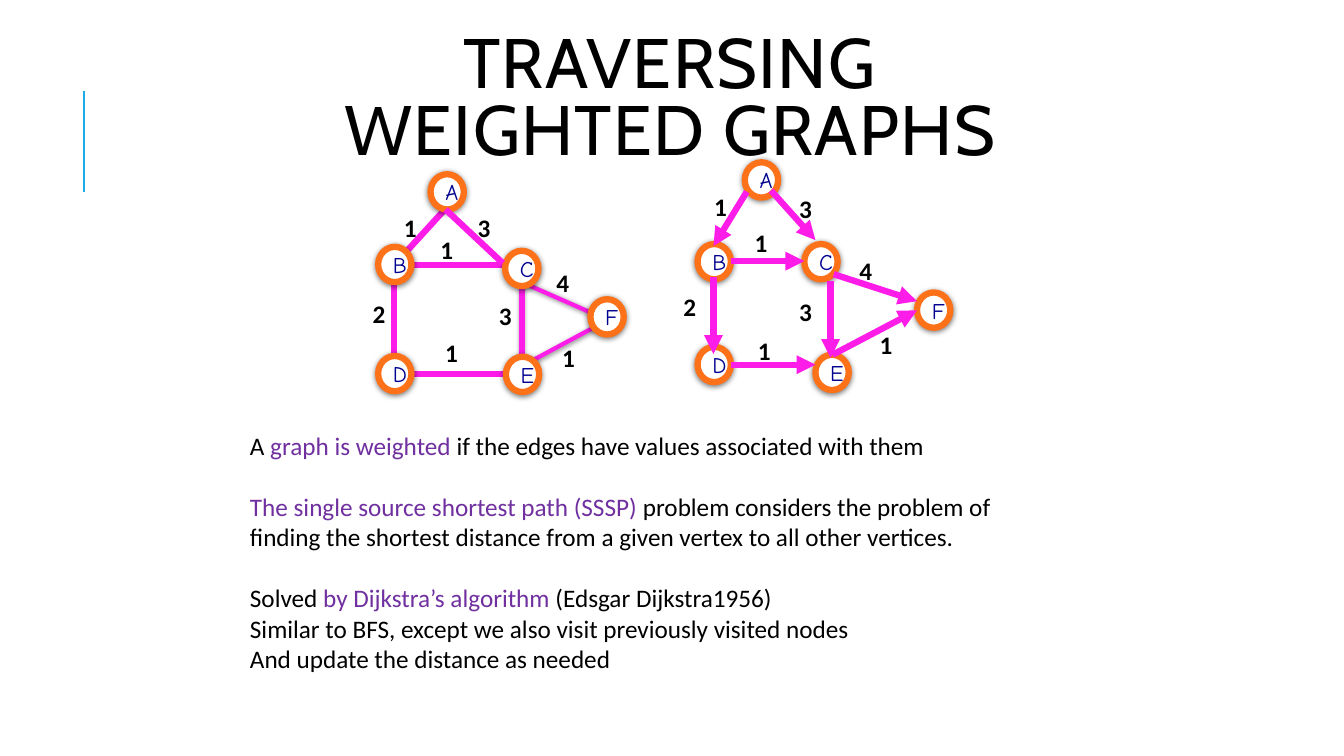
from dataclasses import dataclass

from lxml import etree
from pptx import Presentation
from pptx.dml.color import RGBColor
from pptx.enum.shapes import MSO_CONNECTOR, MSO_SHAPE
from pptx.enum.text import MSO_ANCHOR, MSO_AUTO_SIZE, PP_ALIGN
from pptx.oxml.ns import qn
from pptx.util import Cm, Pt

STRAIGHT = MSO_CONNECTOR.STRAIGHT
OVAL, RECTANGLE, TRIANGLE = MSO_SHAPE.OVAL, MSO_SHAPE.RECTANGLE, MSO_SHAPE.ISOSCELES_TRIANGLE
CENTER = PP_ALIGN.CENTER
MIDDLE = MSO_ANCHOR.MIDDLE
FIXED_SIZE, GROW = MSO_AUTO_SIZE.NONE, MSO_AUTO_SIZE.SHAPE_TO_FIT_TEXT


@dataclass(frozen=True)
class Theme:
    ink: str = "000000"
    paper: str = "FFFFFF"
    term: str = "7030A0"
    accent: str = "1CADE4"
    edge: str = "FD1CE8"
    ring: str = "FD7119"
    vertex: str = "000090"
    title_font: str = "Cabin"
    body_font: str = "Calibri"
    vertex_font: str = "Comic Neue"
    title_size: float = 50
    body_size: float = 18
    vertex_size: float = 16
    paragraph_gap: float = 22
    accent_width: float = 1.5
    thin_width: float = 3
    edge_width: float = 4.5


THEME = Theme()

UNDIRECTED_VERTICES = {
    "C": (12.73, 6.32), "B": (9.53, 6.22), "D": (9.53, 8.97),
    "E": (12.75, 8.99), "F": (14.88, 7.54), "A": (10.85, 4.39),
}
UNDIRECTED_WEIGHTS = [
    ("1", 9.93, 5.23), ("3", 11.79, 5.23), ("1", 10.85, 5.79), ("2", 9.14, 7.39),
    ("1", 10.97, 8.38), ("3", 12.32, 7.44), ("4", 13.77, 6.6), ("1", 13.92, 8.51),
]
DIRECTED_VERTICES = {
    "A": (18.77, 4.09), "B": (17.58, 6.15), "C": (20.27, 6.15),
    "D": (17.58, 8.74), "E": (20.55, 8.94), "F": (23.11, 7.37),
}
DIRECTED_EDGES = [
    ((18.82, 4.83), (17.98, 6.2), ("1", 17.75, 4.7)),
    ((19.43, 4.8), (20.55, 6.05), ("3", 19.89, 4.75)),
    ((18.42, 6.58), (20.27, 6.58), ("1", 18.77, 5.61)),
    ((20.93, 7.09), (20.93, 9.02), ("3", 19.89, 7.34)),
    ((17.98, 6.99), (17.98, 8.92), ("2", 16.97, 7.21)),
    ((18.42, 9.19), (20.55, 9.19), ("1", 18.85, 8.33)),
    ((21.01, 6.91), (23.11, 7.59), ("4", 21.41, 6.3)),
    ((20.98, 8.94), (23.11, 7.82), ("1", 21.92, 8.18)),
]
EXPLANATION = [
    (False, [("A ", THEME.ink), ("graph is weighted ", THEME.term),
             ("if the edges have values associated with them", THEME.ink)]),
    (True, [("The single source shortest path (SSSP) ", THEME.term),
            ("problem considers the problem of", THEME.ink)]),
    (False, [("finding the shortest distance from a given vertex to all other vertices.", THEME.ink)]),
    (True, [("Solved ", THEME.ink), ("by Dijkstra’s algorithm ", THEME.term),
            ("(Edsgar Dijkstra1956)", THEME.ink)]),
    (False, [("Similar to BFS, except we also visit previously visited nodes", THEME.ink)]),
    (False, [("And update the distance as needed", THEME.ink)]),
]


def add_run(paragraph, text, font, size, color, bold=False):
    run = paragraph.add_run()
    run.text = text
    run.font.name = font
    run.font.size = Pt(size)
    run.font.bold = bold
    run.font.color.rgb = RGBColor.from_string(color)
    return run


def set_line(line, color, width):
    line.color.rgb = RGBColor.from_string(color)
    line.width = Pt(width)


def add_shadow(shape):
    effects = shape._element.spPr.find(qn("a:effectLst"))
    shadow = etree.SubElement(effects, qn("a:outerShdw"), blurRad=str(Pt(4)),
                              dist=str(Pt(1)), dir="5400000", rotWithShape="0")
    color = etree.SubElement(shadow, qn("a:srgbClr"), val=THEME.ink)
    etree.SubElement(color, qn("a:alpha"), val="50000")


def add_line(slide, start, end, color=THEME.edge, width=THEME.edge_width, arrow=False):
    connector = slide.shapes.add_connector(STRAIGHT, *(Cm(v) for v in (*start, *end)))
    set_line(connector.line, color, width)
    properties = connector._element.spPr
    if arrow:
        etree.SubElement(properties.find(qn("a:ln")), qn("a:tailEnd"), type="triangle")
    etree.SubElement(properties, qn("a:effectLst"))


def add_outline(slide, kind, box, width):
    outline = slide.shapes.add_shape(kind, *(Cm(v) for v in box))
    outline.shadow.inherit = False
    outline.fill.background()
    set_line(outline.line, THEME.edge, width)
    return outline


def add_vertex(slide, letter, left, top):
    vertex = slide.shapes.add_shape(OVAL, Cm(left), Cm(top), Cm(0.84), Cm(0.89))
    vertex.shadow.inherit = False
    vertex.fill.solid()
    vertex.fill.fore_color.rgb = RGBColor.from_string(THEME.paper)
    set_line(vertex.line, THEME.ring, THEME.edge_width)
    add_shadow(vertex)
    vertex.text_frame.vertical_anchor = MIDDLE
    paragraph = vertex.text_frame.paragraphs[0]
    paragraph.alignment = CENTER
    add_run(paragraph, letter, THEME.vertex_font, THEME.vertex_size, THEME.vertex)


def add_text_frame(slide, left, top, width, height):
    frame = slide.shapes.add_textbox(Cm(left), Cm(top), Cm(width), Cm(height)).text_frame
    frame.word_wrap = True
    frame.auto_size = GROW
    return frame


def add_weight(slide, value, left, top):
    frame = add_text_frame(slide, left, top, 1.04, 1.02)
    add_run(frame.paragraphs[0], value, THEME.body_font, THEME.body_size, THEME.ink, bold=True)


def set_title(slide, text):
    title = slide.shapes.title
    title.left, title.top, title.width, title.height = Cm(7.14), Cm(0.97), Cm(19.51), Cm(3.18)
    frame = title.text_frame
    frame.word_wrap = True
    frame.auto_size = FIXED_SIZE
    frame.vertical_anchor = MIDDLE
    paragraph = frame.paragraphs[0]
    paragraph.alignment = CENTER
    paragraph.line_spacing = 0.8
    run = add_run(paragraph, text, THEME.title_font, THEME.title_size, THEME.ink)
    run.font._element.set("spc", "100")


def add_undirected_graph(slide):
    add_line(slide, (9.93, 6.68), (11.3, 5.18))
    triangle = add_outline(slide, TRIANGLE, (13.18, 7.09, 2.11, 2.16), THEME.thin_width)
    triangle.adjustments[0] = 0.45
    triangle.rotation = 90
    add_shadow(triangle)
    add_outline(slide, RECTANGLE, (9.93, 6.68, 3.23, 2.74), THEME.edge_width)
    for letter, position in UNDIRECTED_VERTICES.items():
        add_vertex(slide, letter, *position)
    add_line(slide, (11.23, 5.28), (12.67, 6.63))
    for weight in UNDIRECTED_WEIGHTS:
        add_weight(slide, *weight)


def add_directed_graph(slide):
    for letter, position in DIRECTED_VERTICES.items():
        add_vertex(slide, letter, *position)
    for start, end, weight in DIRECTED_EDGES:
        add_line(slide, start, end, arrow=True)
        add_weight(slide, *weight)


def add_explanation(slide):
    frame = add_text_frame(slide, 6.05, 10.72, 24.74, 6.4)
    for index, (starts_block, runs) in enumerate(EXPLANATION):
        paragraph = frame.add_paragraph() if index else frame.paragraphs[0]
        if starts_block:
            paragraph.space_before = Pt(THEME.paragraph_gap)
        for text, color in runs:
            add_run(paragraph, text, THEME.body_font, THEME.body_size, color)


def main():
    presentation = Presentation()
    presentation.slide_width, presentation.slide_height = Cm(33.87), Cm(19.05)
    slide = presentation.slides.add_slide(presentation.slide_layouts[5])
    add_line(slide, (2.12, 4.83), (2.12, 2.29), THEME.accent, THEME.accent_width)
    set_title(slide, "TRAVERSING WEIGHTED GRAPHS")
    add_undirected_graph(slide)
    add_directed_graph(slide)
    add_explanation(slide)
    presentation.save("out.pptx")


if __name__ == "__main__":
    main()
